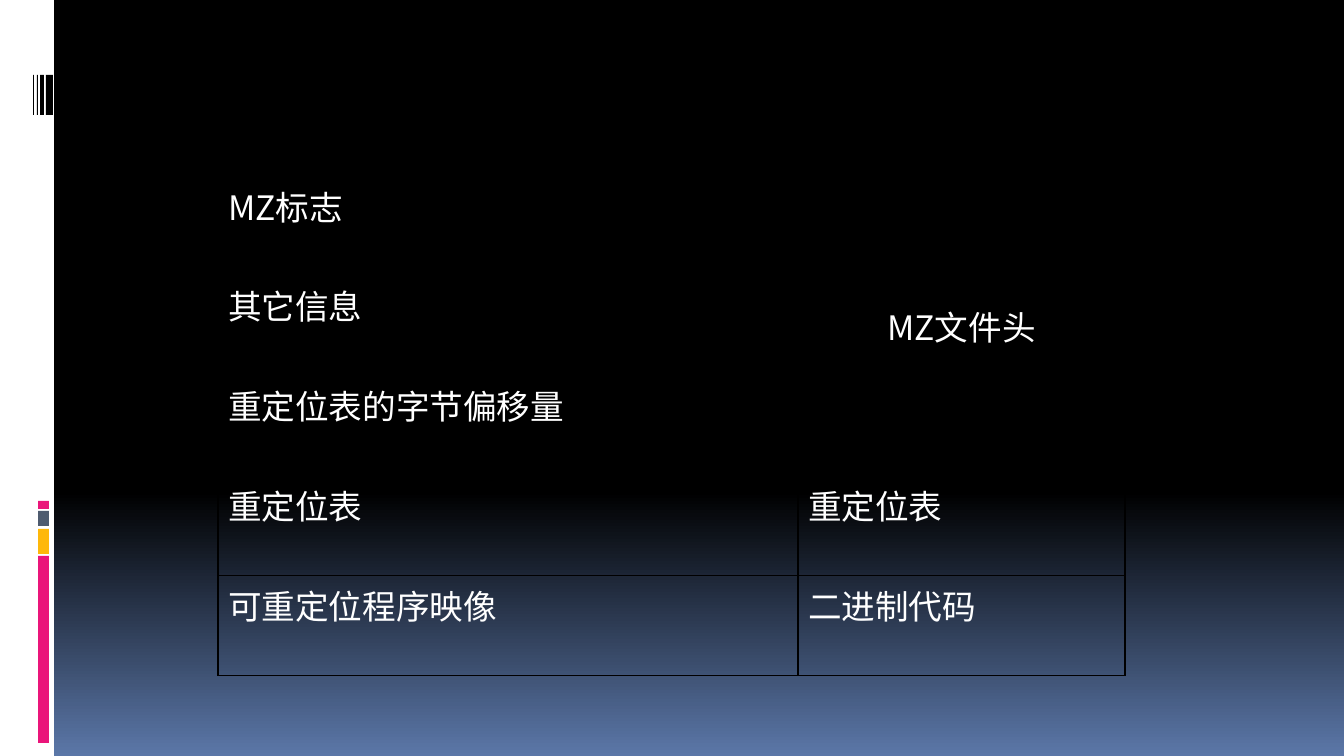
from copy import deepcopy
from pptx import Presentation, util as u
from pptx.dml.color import RGBColor
from pptx.enum import shapes, text
from pptx.oxml import parse_xml
from pptx.oxml.ns import nsdecls

SCALE = 12192000 / 1344
SANS, SERIF = "Noto Sans CJK SC", "Times New Roman"


def px(n):
    """Turn px into EMU."""
    return u.Emu(round(n * SCALE))


def color(code):
    return RGBColor.from_string(code)


deck = Presentation()
deck.slide_width, deck.slide_height = px(1344), px(756)
slide = deck.slides.add_slide(deck.slide_layouts[6])

# Background: black down to 65 %, then fading to blue
back = slide.background.fill
back.gradient()
back.gradient_angle = 270
first = back.gradient_stops[0]
first.color.rgb = color("000000")
stops = slide.background._cSld.find(".//{*}gsLst")
stops.insert(1, deepcopy(stops[0]))
for stop, (place, shade) in zip(
        back.gradient_stops,
        [(0, "000000"), (0.65, "000000"), (1, "5B77A8")]):
    stop.position = place
    stop.color.rgb = color(shade)

# Side strip, accent blocks and barcode: left, top, width, height, fill
bars = [(0, 0, 54, 756, "FFFFFF")]
bars += [(38, top, 11, high, shade) for top, high, shade in [
    (556, 187, "EA157A"), (529, 25, "FEB80A"),
    (511, 15, "4E5B6F"), (501, 8, "EA157A")]]
bars += [(left, 75, wide, 40, "000000")
         for left, wide in [(46, 7), (40, 4), (37, 1), (33, 1)]]
for *box, shade in bars:
    bar = slide.shapes.add_shape(
        shapes.MSO_SHAPE.RECTANGLE, *[px(n) for n in box])
    bar.shadow.inherit = False
    bar.fill.solid()
    bar.fill.fore_color.rgb = color(shade)
    bar.line.fill.background()

# File layout table
rows = [
    ("MZ标志", "MZ文件头", SANS),
    ("其它信息", "", SANS),
    ("重定位表的字节偏移量", "", SERIF),
    ("重定位表", "重定位表", SERIF),
    ("可重定位程序映像", "二进制代码", SERIF),
]
table = slide.shapes.add_table(
    len(rows), 2, px(218), px(176), px(907), px(500)).table
table.first_row = table.horz_banding = False
table.columns[0].width, table.columns[1].width = px(580), px(327)
head = table.cell(0, 1)
head.merge(table.cell(2, 1))

for i, (*words, face) in enumerate(rows):
    table.rows[i].height = px(100)
    for j, word in enumerate(words):
        cell = table.cell(i, j)
        props = cell._tc.get_or_add_tcPr()
        for side in "LRTB":
            props.append(parse_xml(
                f'<a:ln{side} {nsdecls("a")} w="12700"><a:solidFill>'
                f'<a:srgbClr val="000000"/></a:solidFill></a:ln{side}>'))
        cell.fill.background()
        if not word:
            continue
        cell.text_frame.text = word
        para = cell.text_frame.paragraphs[0]
        indent = para._p.get_or_add_pPr()
        indent.set("marL", str(px(38)))
        indent.set("indent", str(-px(38)))
        run = para.runs[0]
        run.font.size = u.Pt(24)
        run.font.name = face
        run.font.color.rgb = color("FFFFFF")
        run.font._element.find("{*}latin").addnext(parse_xml(
            f'<a:ea {nsdecls("a")} typeface="{SANS}"/>'))

head.vertical_anchor = text.MSO_ANCHOR.MIDDLE
head.text_frame.paragraphs[0].alignment = text.PP_ALIGN.CENTER

deck.save("out.pptx")
